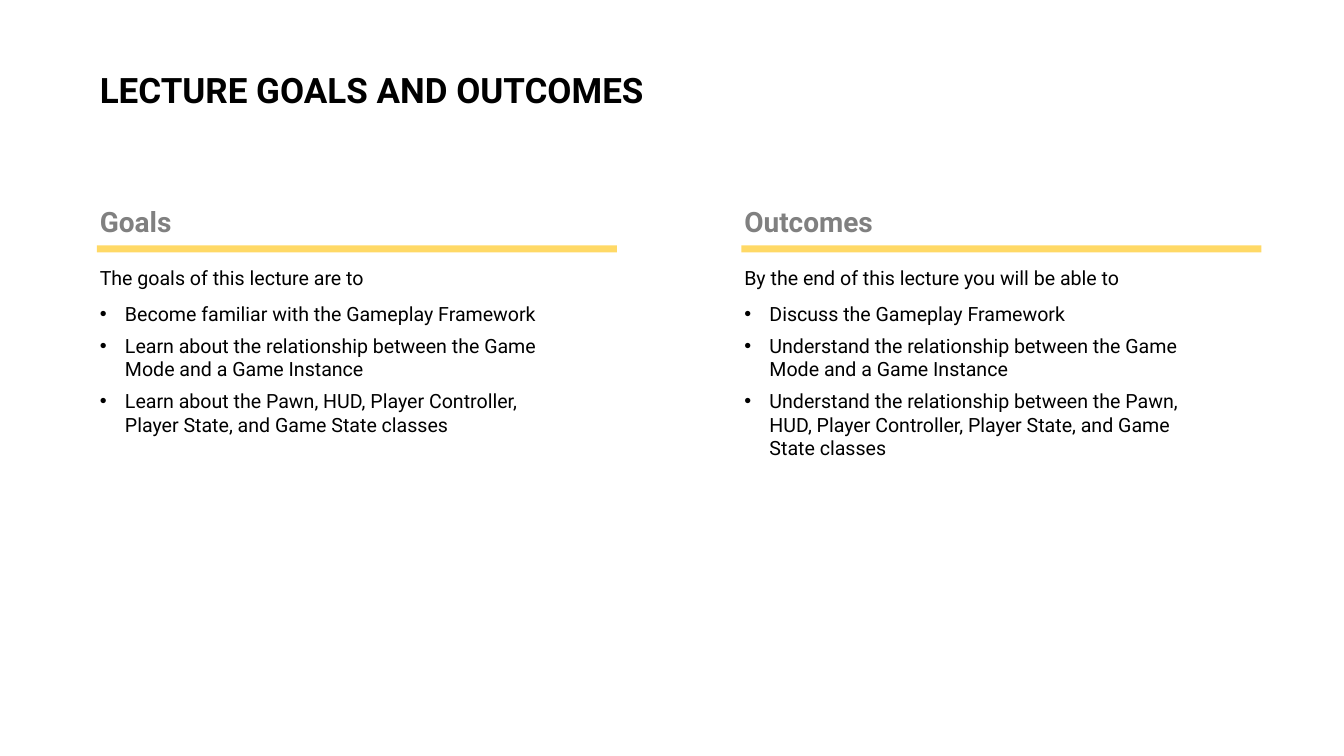
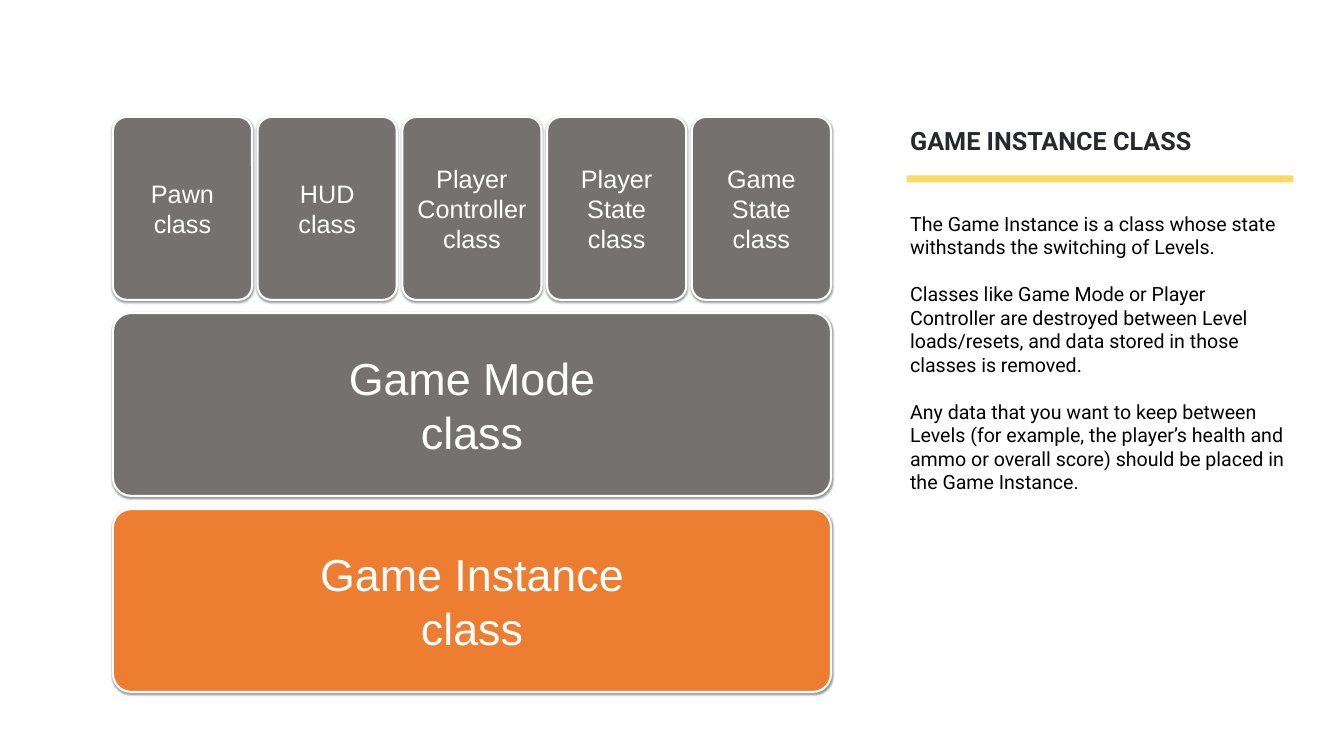
import pptx
import pptx.util
import pptx.dml.color
import pptx.enum.shapes
import pptx.enum.text
import pptx.oxml
import pptx.oxml.ns
from dataclasses import dataclass

Inches, Pt = pptx.util.Inches, pptx.util.Pt
RGB = pptx.dml.color.RGBColor.from_string
ALIGN = pptx.enum.text.PP_ALIGN
ANCHOR = pptx.enum.text.MSO_ANCHOR
SHAPE = pptx.enum.shapes.MSO_SHAPE


@dataclass(frozen=True)
class Theme:
    font: str = "Roboto"
    diagram_font: str = "Arial"
    black: str = "000000"
    ink: str = "27292E"
    grey: str = "808080"
    yellow: str = "FFD966"
    orange: str = "ED7D31"
    stone: str = "767171"
    white: str = "FFFFFF"
    title: int = 50
    heading: int = 40
    side_title: int = 36
    body: int = 28
    big_box: int = 64
    small_box: int = 36
    inset: float = 0.06
    rule_height: float = 0.14


T = Theme()

GOALS_TITLE = "LECTURE GOALS AND OUTCOMES"
COLUMNS = [
    dict(left=1.92, heading="Goals", heading_width=1.67,
         intro="The goals of this lecture are to",
         items=["Become familiar with the Gameplay Framework",
                "Learn about the relationship between the Game Mode and a Game Instance",
                "Learn about the Pawn, HUD, Player Controller, Player State, "
                "and Game State classes"]),
    dict(left=14.71, heading="Outcomes", heading_width=2.86,
         intro="By the end of this lecture you will be able to",
         items=["Discuss the Gameplay Framework",
                "Understand the relationship between the Game Mode and a Game Instance",
                "Understand the relationship between the Pawn, HUD, Player Controller, "
                "Player State, and Game State classes"]),
]

INSTANCE_TITLE = "GAME INSTANCE CLASS"
INSTANCE_TEXT = [
    "The Game Instance is a class whose state withstands the switching of Levels.",
    "Classes like Game Mode or Player Controller are destroyed between Level "
    "loads/resets, and data stored in those classes is removed.",
    "Any data that you want to keep between Levels (for example, the player’s health "
    "and ammo or overall score) should be placed in the Game Instance.",
]
# Rows of the class diagram, top to bottom: class names, fill, type size, inset
CLASS_ROWS = [
    (["Pawn", "HUD", "Player Controller", "Player State", "Game State"],
     T.stone, T.small_box, 0.15),
    (["Game Mode"], T.stone, T.big_box, 0.27),
    (["Game Instance"], T.orange, T.big_box, 0.27),
]
DIAGRAM_LEFT, DIAGRAM_TOP, DIAGRAM_WIDTH = 2.24, 2.32, 14.25
ROW_HEIGHT, ROW_GAP, BOX_GAP = 3.63, 0.26, 0.11
SIDE_LEFT, SIDE_WIDTH = 18, 7.66


def place(shape, left, top, width, height):
    shape.left, shape.top = Inches(left), Inches(top)
    shape.width, shape.height = Inches(width), Inches(height)


def set_text(shape, paragraphs, size, color=T.black, font=T.font, bold=False,
             align=ALIGN.LEFT, anchor=ANCHOR.TOP, inset=T.inset, wrap=True,
             before=0, after=0):
    tf = shape.text_frame
    tf.auto_size = pptx.enum.text.MSO_AUTO_SIZE.NONE
    tf.word_wrap = wrap
    tf.vertical_anchor = anchor
    tf.margin_left = tf.margin_right = tf.margin_top = tf.margin_bottom = Inches(inset)
    for i, text in enumerate(paragraphs):
        p = tf.paragraphs[0] if i == 0 else tf.add_paragraph()
        p.alignment = align
        p.space_before, p.space_after = Pt(before), Pt(after)
        set_bullet(p, None)
        r = p.add_run()
        r.text = text
        r.font.name, r.font.size, r.font.bold = font, Pt(size), bold
        r.font.color.rgb = RGB(color)
    return tf


def set_bullet(p, char):
    """Give the paragraph a hanging bullet, or none when char is None."""
    pPr = p._p.get_or_add_pPr()
    for old in pPr.findall(pptx.oxml.ns.qn("a:buNone")):
        pPr.remove(old)
    indent = Inches(0.5) if char else 0
    pPr.set("marL", str(indent))
    pPr.set("indent", str(-indent))
    ns = pptx.oxml.ns.nsdecls("a")
    if char:
        pPr.append(pptx.oxml.parse_xml(f'<a:buFont {ns} typeface="Arial"/>'))
        pPr.append(pptx.oxml.parse_xml(f'<a:buChar {ns} char="{char}"/>'))
    else:
        pPr.append(pptx.oxml.parse_xml(f"<a:buNone {ns}/>"))


def add_rule(s, left, top, width):
    rule = s.shapes.add_shape(SHAPE.RECTANGLE, Inches(left), Inches(top),
                              Inches(width), Inches(T.rule_height))
    rule.shadow.inherit = False
    rule.fill.solid()
    rule.fill.fore_color.rgb = RGB(T.yellow)
    rule.line.fill.background()


def add_soft_shadow(shape):
    shape.shadow.inherit = False
    effects = shape._element.spPr.find(pptx.oxml.ns.qn("a:effectLst"))
    effects.append(pptx.oxml.parse_xml(
        f'<a:outerShdw {pptx.oxml.ns.nsdecls("a")} blurRad="{Pt(3.1)}" dist="{Pt(1.6)}" '
        'dir="5400000" rotWithShape="0"><a:srgbClr val="000000">'
        '<a:alpha val="38000"/></a:srgbClr></a:outerShdw>'))


def add_class_box(shapes, name, left, top, width, fill, size, inset):
    box = shapes.add_shape(SHAPE.ROUNDED_RECTANGLE, Inches(left), Inches(top),
                           Inches(width), Inches(ROW_HEIGHT))
    box.adjustments[0] = 0.1
    box.fill.solid()
    box.fill.fore_color.rgb = RGB(fill)
    box.line.color.rgb = RGB(T.white)
    box.line.width = Pt(3)
    add_soft_shadow(box)
    set_text(box, [name, "class"], size, color=T.white, font=T.diagram_font,
             align=ALIGN.CENTER, anchor=ANCHOR.MIDDLE, inset=inset)


def build_goals(prs):
    s = prs.slides.add_slide(prs.slide_layouts.get_by_name("Comparison"))
    title, *holders = s.placeholders
    place(title, 1.92, 1.3, 12.07, 0.95)
    set_text(title, [GOALS_TITLE], T.title, bold=True, wrap=False)
    for column, heading, body in zip(COLUMNS, holders[::2], holders[1::2]):
        left = column["left"]
        place(heading, left, 4, column["heading_width"], 0.79)
        set_text(heading, [column["heading"]], T.heading, color=T.grey,
                 bold=True, wrap=False)
        place(body, left, 5.21, 9.31, 4.17)
        tf = set_text(body, [column["intro"], *column["items"]], T.body,
                      before=6, after=6)
        tf.paragraphs[0].space_after = Pt(12)
        for p in tf.paragraphs[1:]:
            set_bullet(p, "•")
        add_rule(s, left, 4.87, 10.32)


def build_game_instance(prs):
    s = prs.slides.add_slide(prs.slide_layouts.get_by_name("Title and Content"))
    title, body = list(s.placeholders)[:2]
    place(title, SIDE_LEFT, 2.42, SIDE_WIDTH, 0.72)
    set_text(title, [INSTANCE_TITLE], T.side_title, color=T.ink, bold=True,
             anchor=ANCHOR.BOTTOM)
    place(body, SIDE_LEFT, 4.14, SIDE_WIDTH, 5.77)
    set_text(body, INSTANCE_TEXT, T.body, after=33.5)
    add_rule(s, SIDE_LEFT, 3.48, SIDE_WIDTH)

    diagram = s.shapes.add_group_shape().shapes
    for row, (names, fill, size, inset) in enumerate(CLASS_ROWS):
        top = DIAGRAM_TOP + row * (ROW_HEIGHT + ROW_GAP)
        width = (DIAGRAM_WIDTH - BOX_GAP * (len(names) - 1)) / len(names)
        for col, name in enumerate(names):
            left = DIAGRAM_LEFT + col * (width + BOX_GAP)
            add_class_box(diagram, name, left, top, width, fill, size, inset)


def main():
    prs = pptx.Presentation()
    prs.slide_width, prs.slide_height = Inches(26.67), Inches(15)
    build_goals(prs)
    build_game_instance(prs)
    for s in prs.slides:
        for holder in list(s.placeholders):
            if not holder.text_frame.text:
                holder._element.getparent().remove(holder._element)
    prs.save("out.pptx")


if __name__ == "__main__":
    main()
